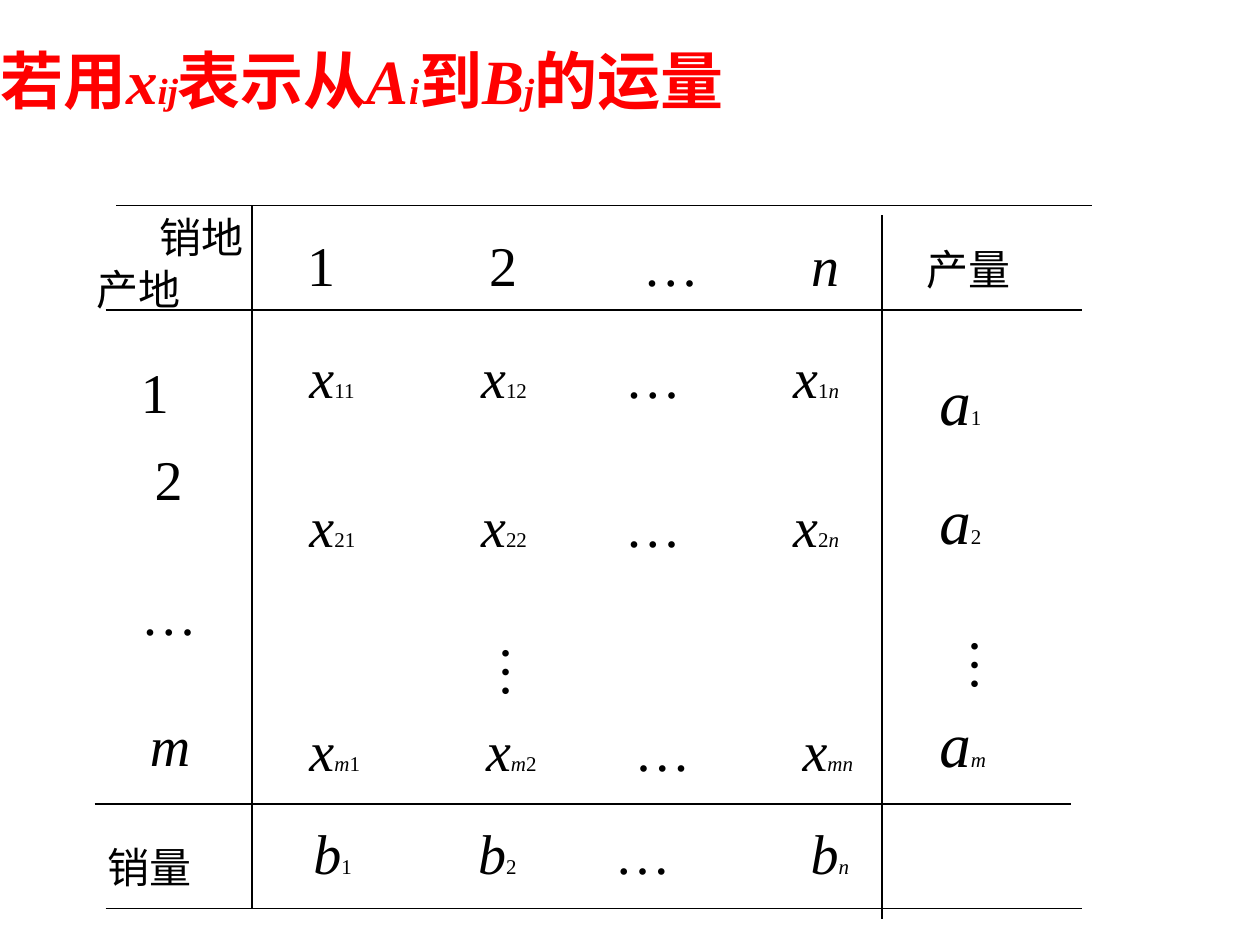
from dataclasses import dataclass
from itertools import groupby

from lxml import etree
from pptx import Presentation
from pptx.dml.color import RGBColor
from pptx.enum.shapes import MSO_CONNECTOR
from pptx.enum.text import MSO_ANCHOR, MSO_AUTO_SIZE, PP_ALIGN
from pptx.oxml.ns import qn
from pptx.util import Cm, Pt

STRAIGHT = MSO_CONNECTOR.STRAIGHT
TOP = MSO_ANCHOR.TOP
GROW = MSO_AUTO_SIZE.SHAPE_TO_FIT_TEXT
LEFT = PP_ALIGN.LEFT


@dataclass(frozen=True)
class Theme:
    font: str = "Times New Roman"
    ink: str = "000000"
    accent: str = "FF0000"
    title: float = 36
    supply: float = 36
    body: float = 32
    label: float = 24
    index: float = 12
    rule: float = 0.75


@dataclass(frozen=True)
class Box:
    left: float
    top: float
    width: float
    height: float


@dataclass(frozen=True)
class Row:
    box: Box
    cells: tuple[str, ...]
    tabs: tuple[float, ...]


THEME = Theme()

TITLE_BOX = Box(-0.25, 0.71, 16.92, 2.06)
TITLE = "若用 x_ij 表示从 A_i 到 B_j 的运量"

RULES = (
    (2.34, 4.14, 22.02, 4.14),
    (2.13, 6.25, 21.82, 6.25),
    (2.13, 18.31, 21.82, 18.31),
    (1.91, 16.21, 21.59, 16.21),
    (5.08, 4.14, 5.08, 18.31),
    (17.78, 4.34, 17.78, 18.52),
)

LABELS = (
    ("销地", 2.97, 4.14),
    ("产地", 1.7, 5.18),
    ("销量", 1.91, 16.84),
    ("产量", 18.42, 4.78),
)

ROWS = (
    Row(Box(5.94, 4.52, 17.35, 1.63), ("1", "2", "…", "n"), (3.67, 6.77, 10.16)),
    Row(Box(5.99, 6.78, 12.27, 1.63), ("x_11", "x_12", "…", "x_1n"), (3.46, 6.36, 9.75)),
    Row(Box(5.99, 9.78, 12.27, 1.63), ("x_21", "x_22", "…", "x_2n"), (3.46, 6.36, 9.75)),
    Row(Box(5.99, 14.3, 12.27, 1.63), ("x_m1", "x_m2", "…", "x_mn"), (3.56, 6.55, 9.94)),
    Row(Box(6.07, 16.38, 12.27, 1.63), ("b_1", "b_2", "…", "b_n"), (3.32, 6.07, 10.02)),
)

SUPPLIES = (("a_1", 7.19), ("a_2", 9.58), ("a_m", 14.07))
VERTICAL_DOTS = ((17.48, 12.61), (8.03, 12.74))


def is_variable(ch: str) -> bool:
    """Tell whether a character is a Latin letter, set in italics."""
    return ch.isascii() and ch.isalpha()


def add_text(p, text: str, *, size: float, color: str = THEME.ink,
             bold: bool = False, baseline: int = 0) -> None:
    """Append formatted text, with variables in italics."""
    for italic, chars in groupby(text, is_variable):
        r = p.add_run()
        r.text = "".join(chars)
        r.font.name = THEME.font
        r.font.size = Pt(size)
        r.font.bold = bold
        r.font.italic = italic
        r.font.color.rgb = RGBColor.from_string(color)
        if baseline:
            r.font._element.set("baseline", str(baseline))


def add_symbol(p, symbol: str, size: float) -> None:
    """Append a symbol followed by its small index, if any."""
    base, _, index = symbol.partition("_")
    add_text(p, base, size=size)
    add_text(p, index, size=THEME.index)


def add_box(s, box: Box, vertical: bool = False):
    """Add a wrapping text box and return its text frame."""
    sp = s.shapes.add_textbox(Cm(box.left), Cm(box.top), Cm(box.width), Cm(box.height))
    tf = sp.text_frame
    tf.word_wrap = True
    tf.auto_size = GROW
    if vertical:
        tf._txBody.bodyPr.set("vert", "eaVert")
        tf.margin_left = tf.margin_right = Cm(0.13)
        tf.margin_top = tf.margin_bottom = Cm(0.25)
    return tf


def add_title(s) -> None:
    """Place the title and lower its subscripts."""
    sp = s.shapes.title
    sp.left, sp.top = Cm(TITLE_BOX.left), Cm(TITLE_BOX.top)
    sp.width, sp.height = Cm(TITLE_BOX.width), Cm(TITLE_BOX.height)
    tf = sp.text_frame
    tf.word_wrap = False
    tf.auto_size = GROW
    tf.vertical_anchor = TOP
    p = tf.paragraphs[0]
    p.alignment = LEFT
    for part in TITLE.split():
        base, _, index = part.partition("_")
        add_text(p, base, size=THEME.title, color=THEME.accent, bold=True)
        add_text(p, index, size=THEME.title, color=THEME.accent, bold=True, baseline=-30)


def add_rule(s, x1: float, y1: float, x2: float, y2: float) -> None:
    """Draw one thin straight rule."""
    sp = s.shapes.add_connector(STRAIGHT, Cm(x1), Cm(y1), Cm(x2), Cm(y2))
    sp.line.color.rgb = RGBColor.from_string(THEME.ink)
    sp.line.width = Pt(THEME.rule)
    etree.SubElement(sp._element.spPr, qn("a:effectLst"))


def add_row(s, row: Row) -> None:
    """Add a row of symbols aligned on tab stops."""
    p = add_box(s, row.box).paragraphs[0]
    stops = etree.SubElement(p._p.get_or_add_pPr(), qn("a:tabLst"))
    for pos in row.tabs:
        etree.SubElement(stops, qn("a:tab"), pos=str(Cm(pos)), algn="l")
    for i, cell in enumerate(row.cells):
        if i:
            add_text(p, "\t", size=THEME.body)
        add_symbol(p, cell, THEME.body)


def add_origins(s) -> None:
    """Add the column of origin numbers."""
    tf = add_box(s, Box(2.59, 7.09, 1.85, 8.36))
    for i, (text, before, indent) in enumerate((("1", 0, 0), ("2", 11.2, 0.28), ("…", 38.4, 0))):
        p = tf.add_paragraph() if i else tf.paragraphs[0]
        if before:
            p.space_before = Pt(before)
        if indent:
            p._p.get_or_add_pPr().set("marL", str(Cm(indent)))
        add_text(p, text, size=THEME.body)
    add_symbol(add_box(s, Box(2.77, 14.2, 2.69, 1.63)).paragraphs[0], "m", THEME.body)


def main() -> None:
    """Build the transport table slide."""
    prs = Presentation()
    prs.slide_width, prs.slide_height = Cm(25.4), Cm(19.05)
    s = prs.slides.add_slide(prs.slide_layouts.get_by_name("Title Only"))
    add_title(s)
    for rule in RULES:
        add_rule(s, *rule)
    for text, left, top in LABELS:
        add_text(add_box(s, Box(left, top, 2.97, 1.27)).paragraphs[0], text, size=THEME.label)
    add_origins(s)
    for row in ROWS:
        add_row(s, row)
    for symbol, top in SUPPLIES:
        add_symbol(add_box(s, Box(18.69, top, 2.97, 1.78)).paragraphs[0], symbol, THEME.supply)
    for left, top in VERTICAL_DOTS:
        tf = add_box(s, Box(left, top, 3.38, 1.97), vertical=True)
        add_text(tf.paragraphs[0], "…", size=THEME.body)
    prs.save("out.pptx")


if __name__ == "__main__":
    main()
